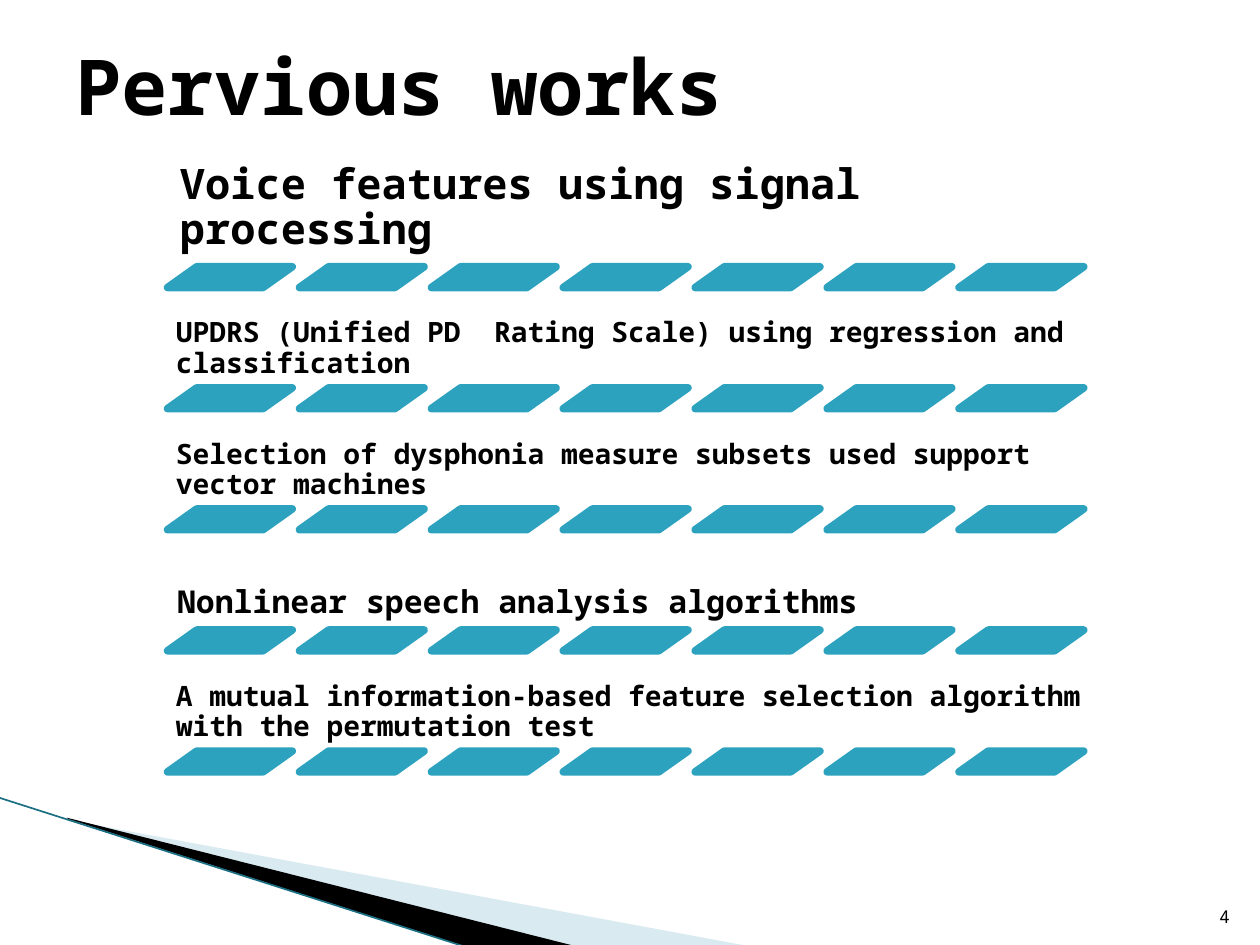
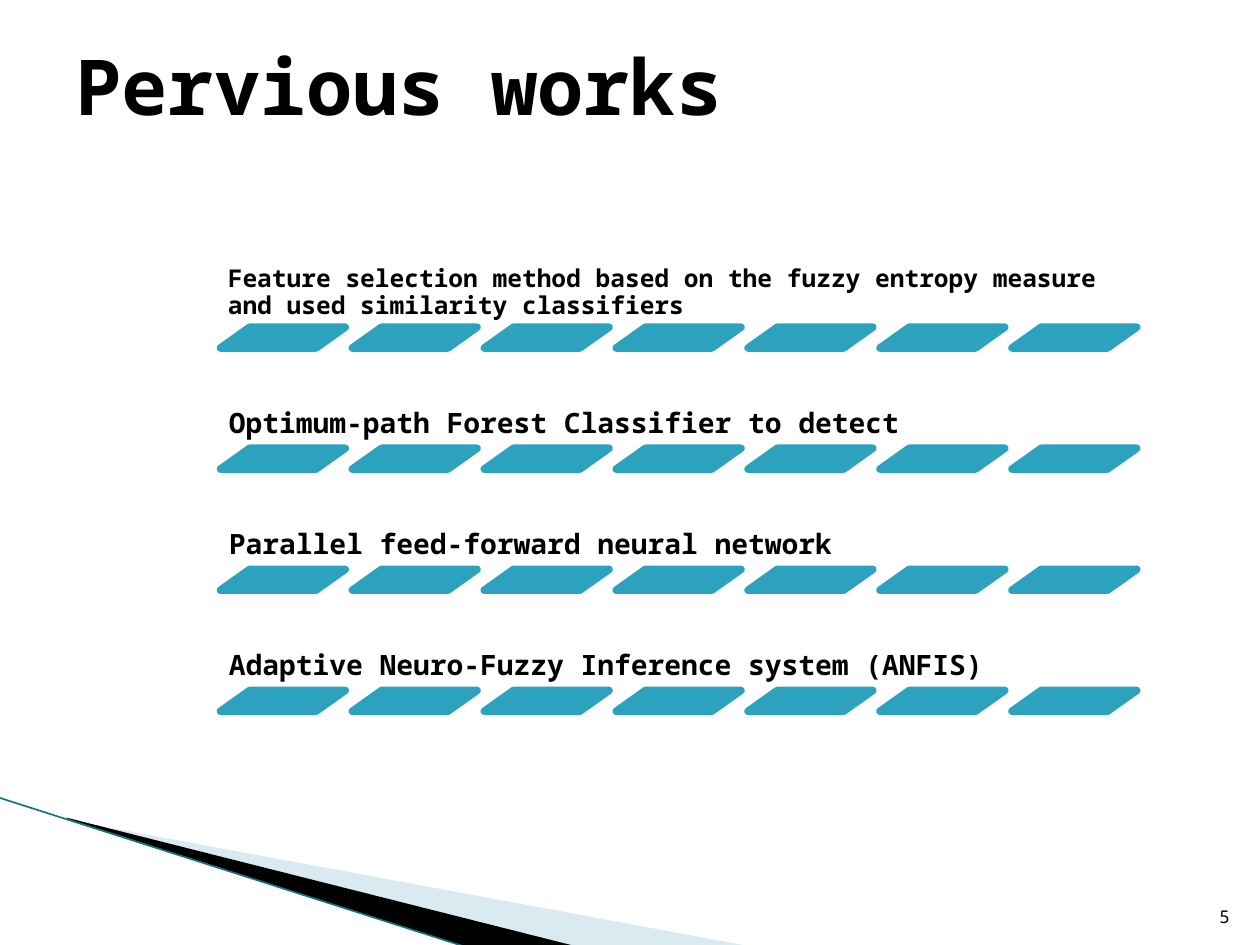
"""Two slides listing previous works, each line underlined by a row of slanted bars."""
import pptx
import pptx.util
import pptx.dml.color
import pptx.enum.shapes
import pptx.enum.text
import pptx.oxml.ns
import lxml.etree

COLORS = {"text": "000000", "bar": "2DA2BF", "pale": "A0CBDC",
          "wedge": "000000", "edge": "1A6F83"}
FONT = "Noto Sans Mono"
COLS, ROWS = 100, 75          # grid of the slide
BARS = 7                      # bars under each line of text
BAR_SHARE, BAR_PITCH = 0.1334, 0.1411   # shares of the text width
ROW_PITCH, TEXT_HEIGHT, BAR_TOP, BAR_HEIGHT = 9.61, 6.75, 6.77, 1.65

ALIGN = pptx.enum.text.PP_ALIGN
ANCHOR = pptx.enum.text.MSO_ANCHOR
qn = pptx.oxml.ns.qn

prs = pptx.Presentation()
prs.slide_width = pptx.util.Inches(10)
prs.slide_height = pptx.util.Inches(7.5)


def x(cols):
    """Return a length of so many grid columns."""
    return pptx.util.Emu(round(prs.slide_width * cols / COLS))


def y(rows):
    """Return a length of so many grid rows."""
    return pptx.util.Emu(round(prs.slide_height * rows / ROWS))


def box(left, top, width, height):
    """Turn a box in grid units into lengths."""
    return x(left), y(top), x(width), y(height)


def rgb(name):
    """Look up a colour by its role."""
    return pptx.dml.color.RGBColor.from_string(COLORS[name])


def write(shape, text, size, bold=False, align=ALIGN.LEFT, anchor=ANCHOR.BOTTOM,
          inset=None, spacing=None):
    """Write one formatted paragraph into a shape."""
    tf = shape.text_frame
    tf.word_wrap = True
    tf.vertical_anchor = anchor
    if inset is not None:
        tf.margin_left = tf.margin_right = tf.margin_top = tf.margin_bottom = inset
    p = tf.paragraphs[0]
    p.alignment = align
    p.line_spacing = spacing
    r = p.add_run()
    r.text = text
    r.font.name = FONT
    r.font.size = pptx.util.Pt(size)
    r.font.bold = bold
    r.font.color.rgb = rgb("text")


def add_wedge(s, points, color, alpha=None):
    """Add a filled outline without a border."""
    (left, top), *rest = [(x(a), y(b)) for a, b in points]
    builder = s.shapes.build_freeform(left, top)
    builder.add_line_segments(rest, close=True)
    sp = builder.convert_to_shape()
    sp.shadow.inherit = False
    sp.fill.solid()
    sp.fill.fore_color.rgb = rgb(color)
    sp.line.fill.background()
    if alpha:
        clr = sp.fill._xPr.find(".//" + qn("a:srgbClr"))
        lxml.etree.SubElement(clr, qn("a:alpha"), val=str(alpha * 1000))
    return sp


def decorate_master(s):
    """Draw the corner wedges on a slide, then move them to the master."""
    edge = s.shapes.add_connector(pptx.enum.shapes.MSO_CONNECTOR.STRAIGHT,
                                  x(-0.1), y(63.3), x(37.1), y(75.2))
    edge.line.color.rgb = rgb("edge")
    edge.line.width = pptx.util.Pt(0.95)
    lxml.etree.SubElement(edge._element.spPr, qn("a:effectLst"))
    parts = [
        add_wedge(s, [(5.5, 65.1), (59.5, 75.1), (45.6, 75.1), (5.5, 65)], "pale", 40),
        add_wedge(s, [(5.3, 64.9), (45.7, 75.1), (37.2, 75.2), (5.4, 65)], "wedge"),
        edge,
    ]
    tree = prs.slide_master.shapes._spTree
    for i, part in enumerate(parts):
        part._element.find(".//" + qn("p:cNvPr")).set("id", str(100 + i))
        tree.insert(2 + i, part._element)


def add_bars(group, left, top, width):
    """Add a row of equal slanted bars to a group."""
    for i in range(BARS):
        sp = group.shapes.add_shape(
            pptx.enum.shapes.MSO_SHAPE.PARALLELOGRAM,
            *box(left + i * width * BAR_PITCH, top, width * BAR_SHARE, BAR_HEIGHT))
        sp.adjustments[0] = 1.408
        sp.shadow.inherit = False
        sp.fill.solid()
        sp.fill.fore_color.rgb = rgb("bar")
        sp.line.color.rgb = rgb("bar")
        sp.line.width = pptx.util.Pt(4.33)


def add_list(s, items, left, top, width):
    """Stack lines of text with bars; an item is text, size and extra text width."""
    group = s.shapes.add_group_shape()
    for i, (text, size, extra) in enumerate(items):
        row = top + i * ROW_PITCH
        tb = group.shapes.add_textbox(*box(left, row, width + extra, TEXT_HEIGHT))
        write(tb, text, size, bold=True, inset=x(size / 24), spacing=0.9)
        add_bars(group, left, row + BAR_TOP, width)


def add_works_slide(number, items, left, top):
    """Add a slide with title, list and slide number."""
    s = prs.slides.add_slide(prs.slide_layouts[5])
    title = s.shapes.title
    title.left, title.top, title.width, title.height = box(5, 2.5, 83.3, 8.4)
    write(title, "Pervious works", 44, bold=True, anchor=ANCHOR.MIDDLE)
    add_list(s, items, left, top, width=74.2)
    write(s.shapes.add_textbox(*box(94.6, 70.1, 4, 4)), str(number), 10,
          align=ALIGN.RIGHT)
    return s


first = add_works_slide(4, [
    ("Voice features using signal processing", 24, 0),
    ("UPDRS (Unified PD  Rating Scale) using regression and classification", 16, 8.3),
    ("Selection of dysphonia measure subsets used support vector machines", 16, 0),
    ("Nonlinear speech analysis algorithms", 18, 0),
    ("A mutual information-based feature selection algorithm with the "
     "permutation test", 16, 0),
], left=13.3, top=14.4)
decorate_master(first)

add_works_slide(5, [
    ("Feature selection method based on the fuzzy entropy measure and used "
     "similarity classifiers", 14, 0),
    ("Optimum-path Forest Classifier to detect", 16, 0),
    ("Parallel feed-forward neural network", 16, 0),
    ("Adaptive Neuro-Fuzzy Inference system (ANFIS)", 16, 0),
], left=17.5, top=19.2)

prs.save("out.pptx")
